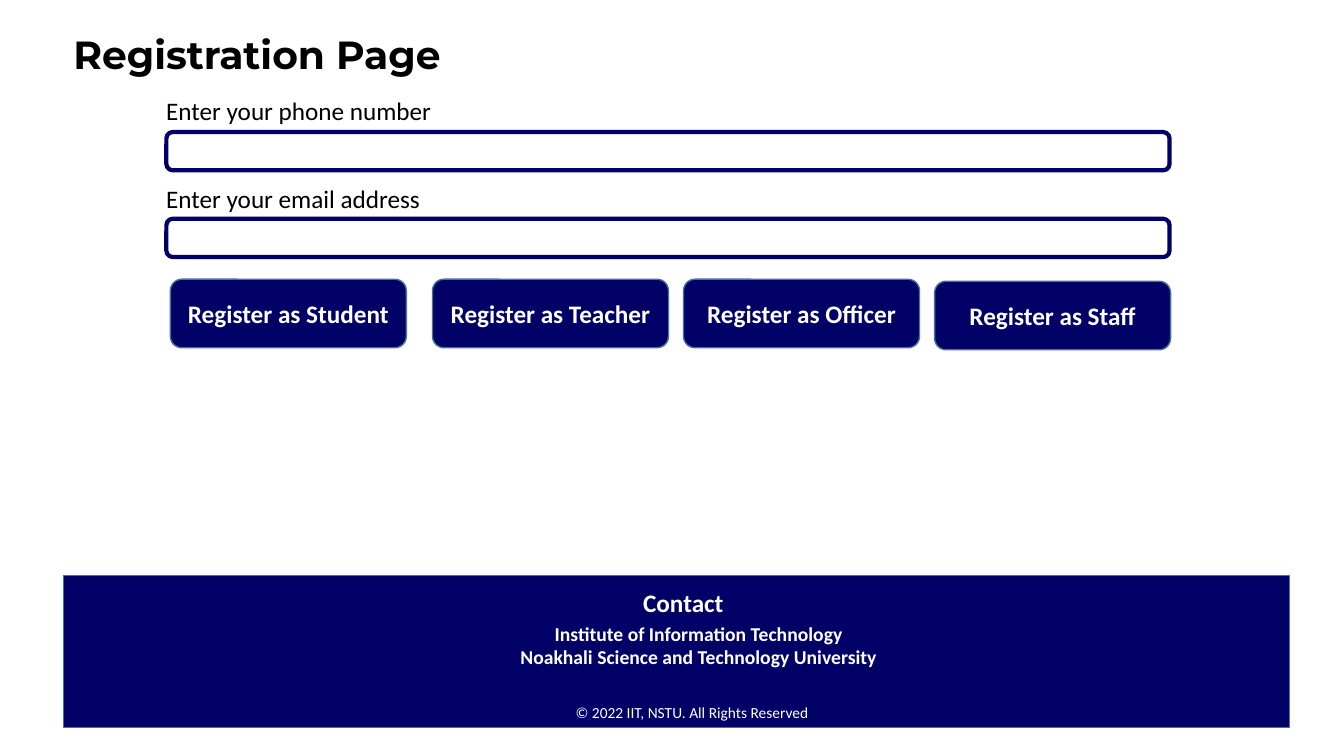
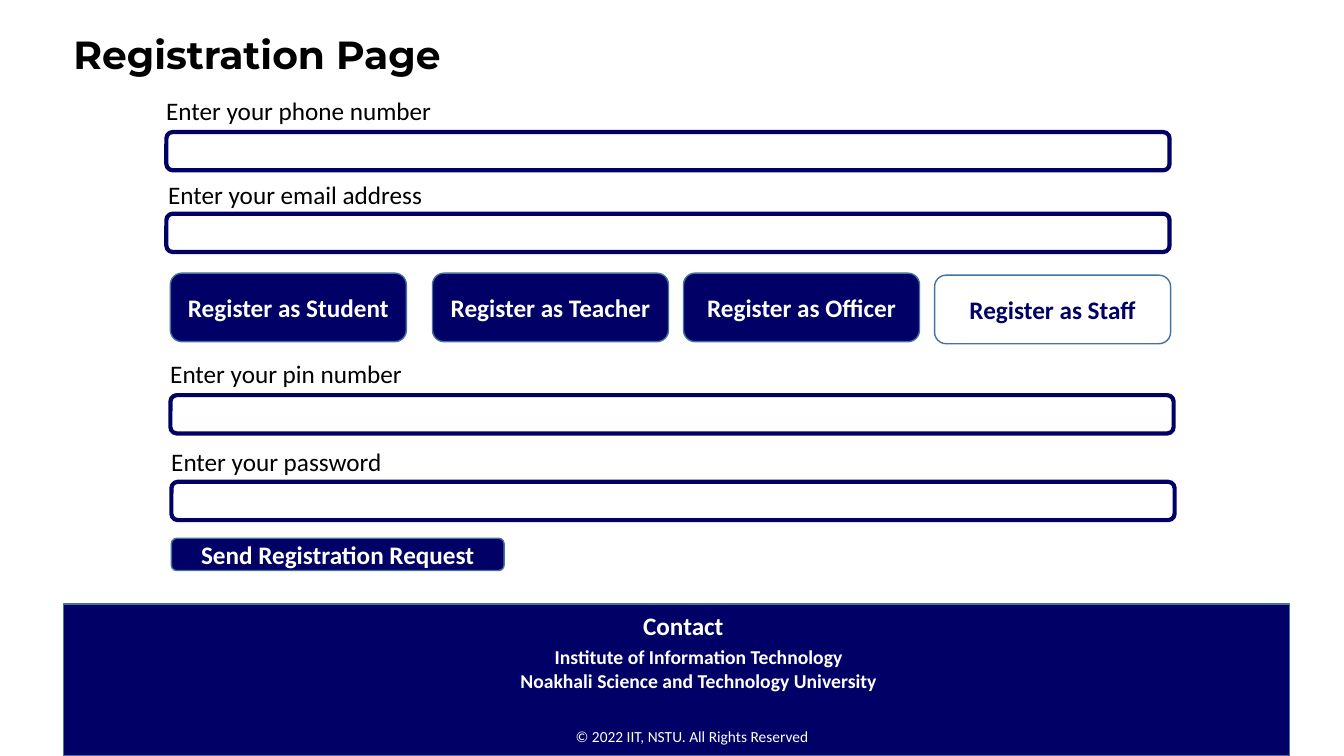
from pptx import Presentation
from pptx.dml.color import RGBColor
from pptx.enum.shapes import MSO_SHAPE
from pptx.enum.text import MSO_ANCHOR, MSO_AUTO_SIZE, PP_ALIGN
from pptx.util import Inches, Pt

NAVY = RGBColor(0x00, 0x00, 0x66)
STEEL = RGBColor(0x43, 0x73, 0x9E)
WHITE = RGBColor(0xFF, 0xFF, 0xFF)
BLACK = RGBColor(0x00, 0x00, 0x00)
RECT, ROUNDED = MSO_SHAPE.RECTANGLE, MSO_SHAPE.ROUNDED_RECTANGLE
TOP, MIDDLE = MSO_ANCHOR.TOP, MSO_ANCHOR.MIDDLE
LEFT, CENTER = PP_ALIGN.LEFT, PP_ALIGN.CENTER
FIT_SHAPE = MSO_AUTO_SIZE.SHAPE_TO_FIT_TEXT
NO_FIT = MSO_AUTO_SIZE.NONE


def write(frame, text, size=18, font="Calibri", color=BLACK, bold=False,
          align=LEFT, anchor=TOP, spacing=None, wrap=True, fit=NO_FIT):
    """Fill a text frame, one paragraph for each line of text."""
    frame.word_wrap = wrap
    frame.auto_size = fit
    frame.vertical_anchor = anchor
    for index, line in enumerate(text.split("\n")):
        para = frame.add_paragraph() if index else frame.paragraphs[0]
        para.alignment = align
        if spacing:
            para.line_spacing = spacing
        span = para.add_run()
        span.text = line
        span.font.name = font
        span.font.size = Pt(size)
        span.font.bold = bold
        span.font.color.rgb = color


class FormDeck:
    """Style of the registration form, and the page being drawn."""

    BUTTON_WIDTH, BUTTON_HEIGHT = 2.34, 0.68

    def __init__(self):
        self.deck = Presentation()
        self.deck.slide_width = Inches(13.33)
        self.deck.slide_height = Inches(7.5)
        self.page = None

    def add_page(self, title):
        self.page = self.deck.slides.add_slide(self.deck.slide_layouts[6])
        self.page.background.fill.solid()
        self.page.background.fill.fore_color.rgb = WHITE
        self.label(title, 0.63, 0.32, 4.14, 0.49, size=28, font="Montserrat",
                   bold=True, anchor=MIDDLE, spacing=0.9, fit=NO_FIT)

    def shape(self, kind, left, top, width, height,
              fill=NAVY, line=STEEL, weight=1):
        box = self.page.shapes.add_shape(
            kind, Inches(left), Inches(top), Inches(width), Inches(height))
        box.shadow.inherit = False
        box.fill.solid()
        box.fill.fore_color.rgb = fill
        box.line.color.rgb = line
        box.line.width = Pt(weight)
        return box

    def label(self, text, left, top, width=3, height=0.4, fit=FIT_SHAPE,
              **style):
        box = self.page.shapes.add_textbox(
            Inches(left), Inches(top), Inches(width), Inches(height))
        write(box.text_frame, text, fit=fit, **style)

    def field(self, prompt, left, top, label_left, label_top):
        self.label(prompt, label_left, label_top)
        self.shape(ROUNDED, left, top, 9.95, 0.38, WHITE, NAVY, 3)

    def button(self, text, left, top, width=BUTTON_WIDTH,
               height=BUTTON_HEIGHT, selected=False):
        fill, color = (WHITE, NAVY) if selected else (NAVY, WHITE)
        box = self.shape(ROUNDED, left, top, width, height, fill)
        write(box.text_frame, text, color=color, bold=True,
              align=CENTER, anchor=MIDDLE)

    def role_buttons(self, top, chosen=None):
        # The last button sits slightly lower than the others
        for role, left, drop in (("Student", 1.69, 0), ("Teacher", 4.29, 0),
                                 ("Officer", 6.78, 0), ("Staff", 9.27, 0.02)):
            self.button(f"Register as {role}", left, top + drop,
                        selected=role == chosen)

    def footer(self, band_top, text_top):
        self.shape(RECT, 0.63, band_top, 12.16, 1.51)
        self.label("Contact", 6.28, text_top, 1.01, color=WHITE, bold=True,
                   wrap=False)
        self.label("Institute of Information Technology\n"
                   "Noakhali Science and Technology University",
                   4.59, text_top + 0.34, 4.68, 0.57, size=14, color=WHITE,
                   bold=True, align=CENTER)
        self.label("© 2022 IIT, NSTU. All Rights Reserved",
                   5.58, text_top + 1.15, 2.57, 0.29, size=11, color=WHITE,
                   align=CENTER)


form = FormDeck()

# Empty form
form.add_page("Registration Page")
form.footer(5.71, 5.78)
form.field("Enter your phone number", 1.65, 1.31, 1.55, 0.9)
form.field("Enter your email address", 1.65, 2.17, 1.55, 1.77)
form.role_buttons(2.77)

# Form with staff chosen
form.add_page("Registration Page")
form.footer(5.99, 6.01)
form.field("Enter your phone number", 1.65, 1.31, 1.55, 0.9)
form.field("Enter your email address", 1.65, 2.12, 1.57, 1.73)
form.role_buttons(2.71, chosen="Staff")
form.field("Enter your pin number", 1.69, 3.92, 1.59, 3.51)
form.field("Enter your password", 1.7, 4.78, 1.6, 4.38)
form.button("Send Registration Request", 1.7, 5.34, 3.3, 0.32)

form.deck.save("out.pptx")
